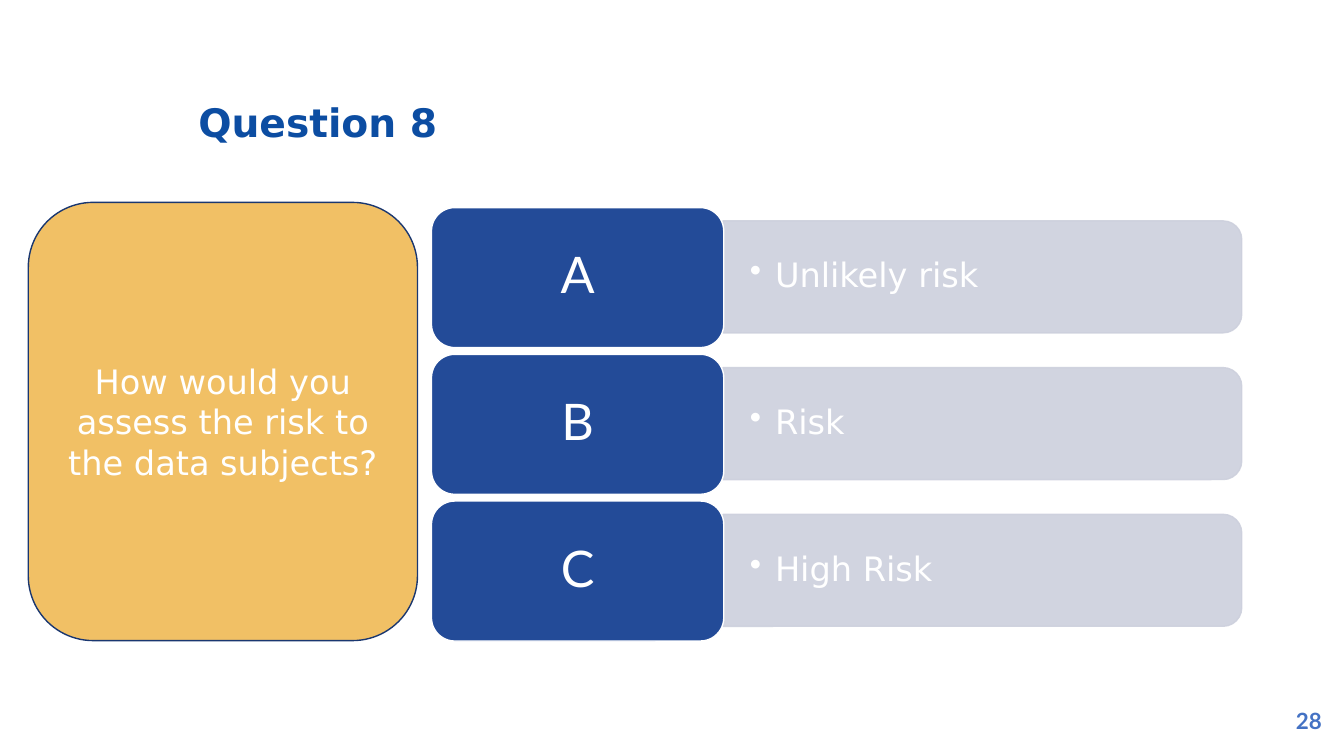
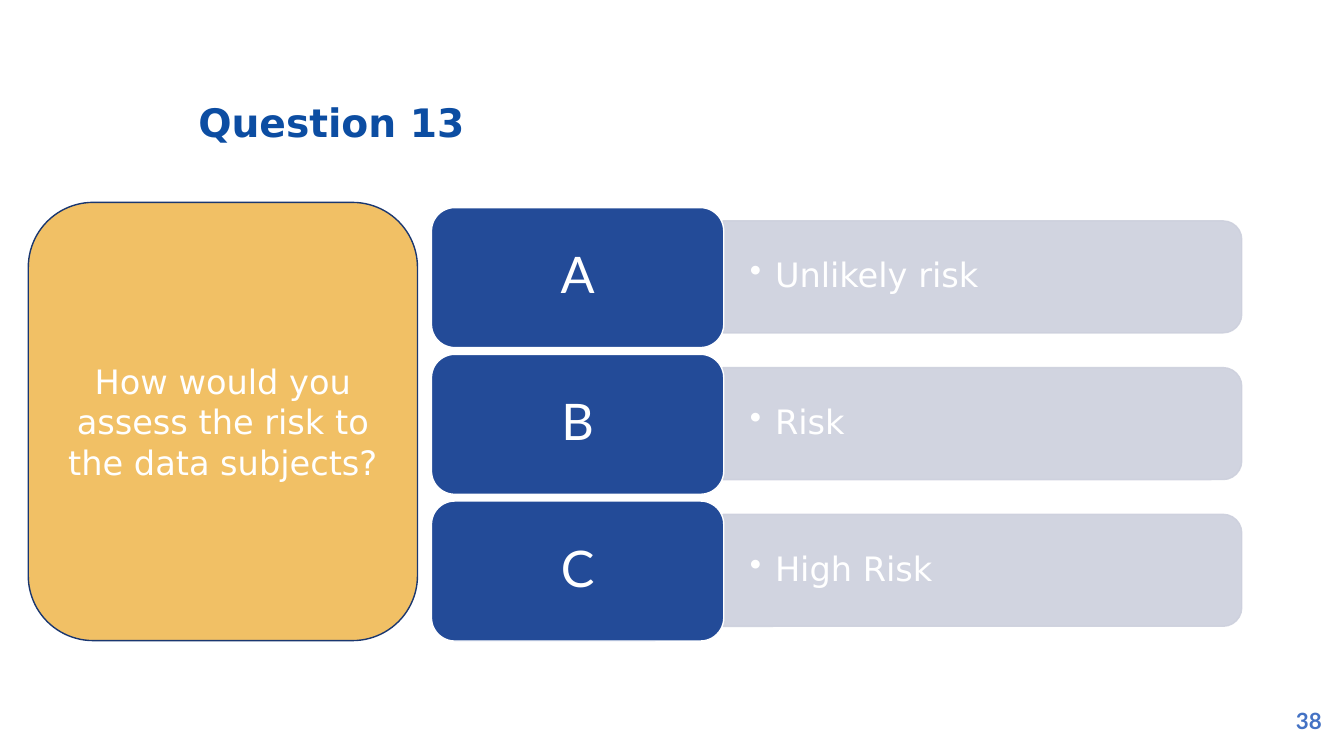
from dataclasses import dataclass

from lxml.etree import SubElement
from pptx import Presentation
from pptx.dml.color import RGBColor
from pptx.enum.shapes import MSO_SHAPE as SHAPE
from pptx.enum.text import MSO_ANCHOR as ANCHOR, PP_ALIGN as ALIGN
from pptx.oxml.ns import qn
from pptx.util import Pt


@dataclass(frozen=True)
class Theme:
    title: str = "0C4DA2"
    number: str = "4472C4"
    white: str = "FFFFFF"
    card: str = "234B98"
    bar: str = "CDD0DD"
    panel: str = "F1C065"
    panel_line: str = "1A3770"
    font: str = "DejaVu Sans"
    accent_font: str = "Lato"
    title_size: int = 28
    body_size: int = 24
    letter_size: int = 36
    number_size: int = 16


PROMPT = "How would you assess the risk to the data subjects?"
ANSWERS = {"A": "Unlikely risk", "B": "Risk", "C": "High Risk"}
QUESTIONS = [("Question 8", "28"), ("Question 13", "38")]

CARD_LEFT, CARD_TOP, CARD_WIDTH, CARD_HEIGHT = 308.2, 148.3, 208.8, 100
ROW_PITCH = 104.8
BAR_LEFT, BAR_WIDTH, BAR_HEIGHT = 516.4, 370.6, 80


class Deck:
    def __init__(self, theme):
        self.theme = theme
        self.prs = Presentation()
        self.prs.slide_width, self.prs.slide_height = Pt(960), Pt(540)

    def new_slide(self):
        self.s = self.prs.slides.add_slide(self.prs.slide_layouts[6])

    def text(self, sp, text, size, color, font=None, bold=False,
             align=ALIGN.CENTER, anchor=ANCHOR.MIDDLE, spacing=None,
             margins=(7.2, 3.6), bullet=False):
        tf = sp.text_frame
        tf.word_wrap = True
        tf.vertical_anchor = anchor
        tf.margin_left = tf.margin_right = Pt(margins[0])
        tf.margin_top = tf.margin_bottom = Pt(margins[1])
        p = tf.paragraphs[0]
        if bullet:
            pPr = p._p.get_or_add_pPr()
            pPr.set("marL", str(Pt(18)))
            pPr.set("indent", str(-Pt(18)))
            SubElement(pPr, qn("a:buChar")).set("char", "•")
        p.alignment = align
        if spacing:
            p.line_spacing = spacing
        r = p.add_run()
        r.text = text
        r.font.size, r.font.bold = Pt(size), bold
        r.font.name = font or self.theme.font
        r.font.color.rgb = RGBColor.from_string(color)

    def textbox(self, x, y, w, h, text, size, color, **style):
        sp = self.s.shapes.add_textbox(Pt(x), Pt(y), Pt(w), Pt(h))
        self.text(sp, text, size, color, **style)

    def shape(self, kind, x, y, w, h, fill, line):
        sp = self.s.shapes.add_shape(kind, Pt(x), Pt(y), Pt(w), Pt(h))
        sp.shadow.inherit = False
        sp.fill.solid()
        sp.fill.fore_color.rgb = RGBColor.from_string(fill)
        sp.line.color.rgb = RGBColor.from_string(line)
        sp.line.width = Pt(1)
        return sp

    def title(self, text):
        t = self.theme
        self.textbox(134.6, 63.4, 685.4, 51.1, text, t.title_size, t.title,
                     bold=True, align=ALIGN.LEFT, anchor=ANCHOR.TOP,
                     spacing=Pt(36.6))

    def page_number(self, text):
        t = self.theme
        self.textbox(917.3, 500.4, 35.3, 28.8, text, t.number_size, t.number,
                     font=t.accent_font, bold=True)

    def bar(self, y, text):
        """Answer bar: a top-rounded shape turned so its round end faces right."""
        t = self.theme
        inset = (BAR_WIDTH - BAR_HEIGHT) / 2
        sp = self.shape(SHAPE.ROUND_2_SAME_RECTANGLE, BAR_LEFT + inset, y - inset,
                        BAR_HEIGHT, BAR_WIDTH, t.bar, t.bar)
        sp.rotation = 90
        for color in sp._element.spPr.iter(qn("a:srgbClr")):
            SubElement(color, qn("a:alpha")).set("val", "90000")
        self.textbox(BAR_LEFT, y + 4, BAR_WIDTH - 4, BAR_HEIGHT - 8, text,
                     t.body_size, t.white, align=ALIGN.LEFT, spacing=0.9,
                     margins=(19.2, 9.6), bullet=True)

    def card(self, y, letter):
        t = self.theme
        sp = self.shape(SHAPE.ROUNDED_RECTANGLE, CARD_LEFT, y, CARD_WIDTH,
                        CARD_HEIGHT, t.card, t.white)
        self.text(sp, letter, t.letter_size, t.white, font=t.accent_font,
                  spacing=0.9)

    def answers(self, answers):
        for i, (letter, text) in enumerate(answers.items()):
            y = CARD_TOP + i * ROW_PITCH
            self.bar(y + (CARD_HEIGHT - BAR_HEIGHT) / 2 - 0.5, text)
            self.card(y, letter)

    def prompt(self, text):
        t = self.theme
        sp = self.shape(SHAPE.ROUNDED_RECTANGLE, 20.2, 144.6, 278, 313,
                        t.panel, t.panel_line)
        self.text(sp, text, t.body_size, t.white)


def main():
    deck = Deck(Theme())
    for title, number in QUESTIONS:
        deck.new_slide()
        deck.title(title)
        deck.page_number(number)
        deck.answers(ANSWERS)
        deck.prompt(PROMPT)
    deck.prs.save("out.pptx")


if __name__ == "__main__":
    main()
